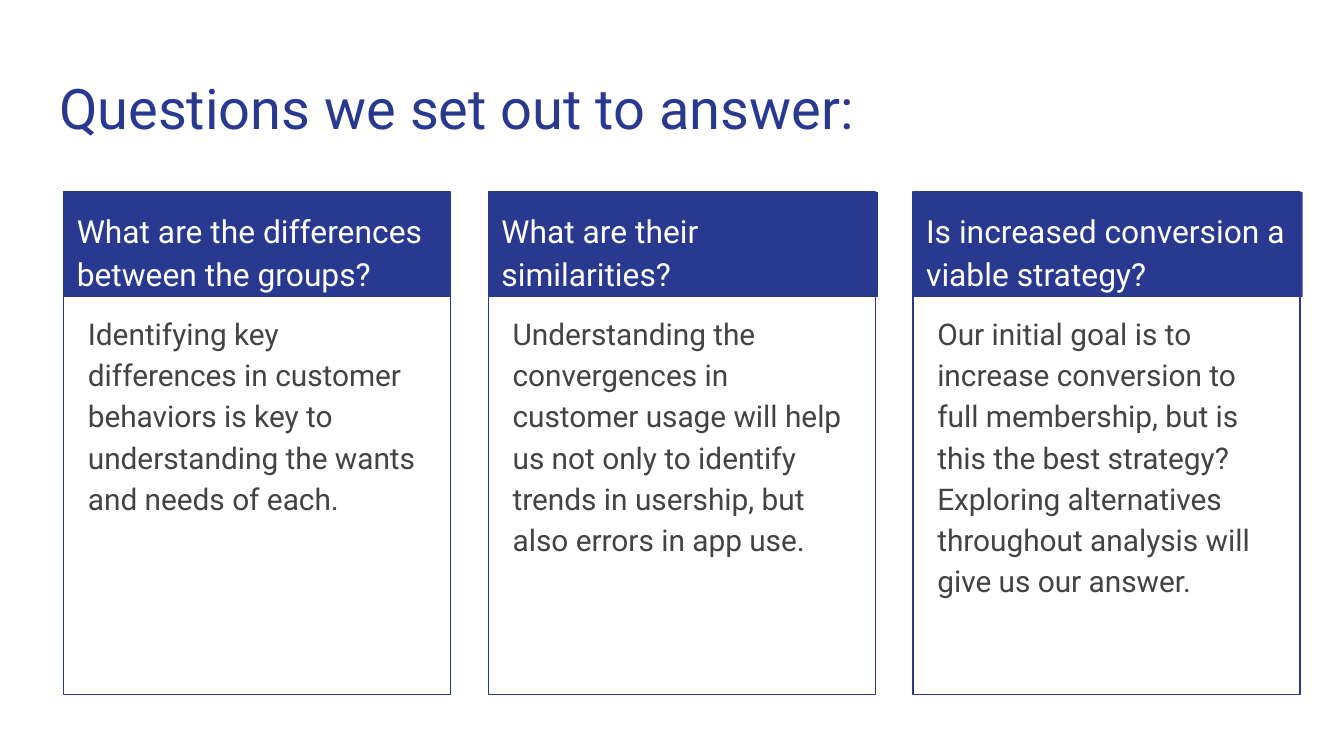
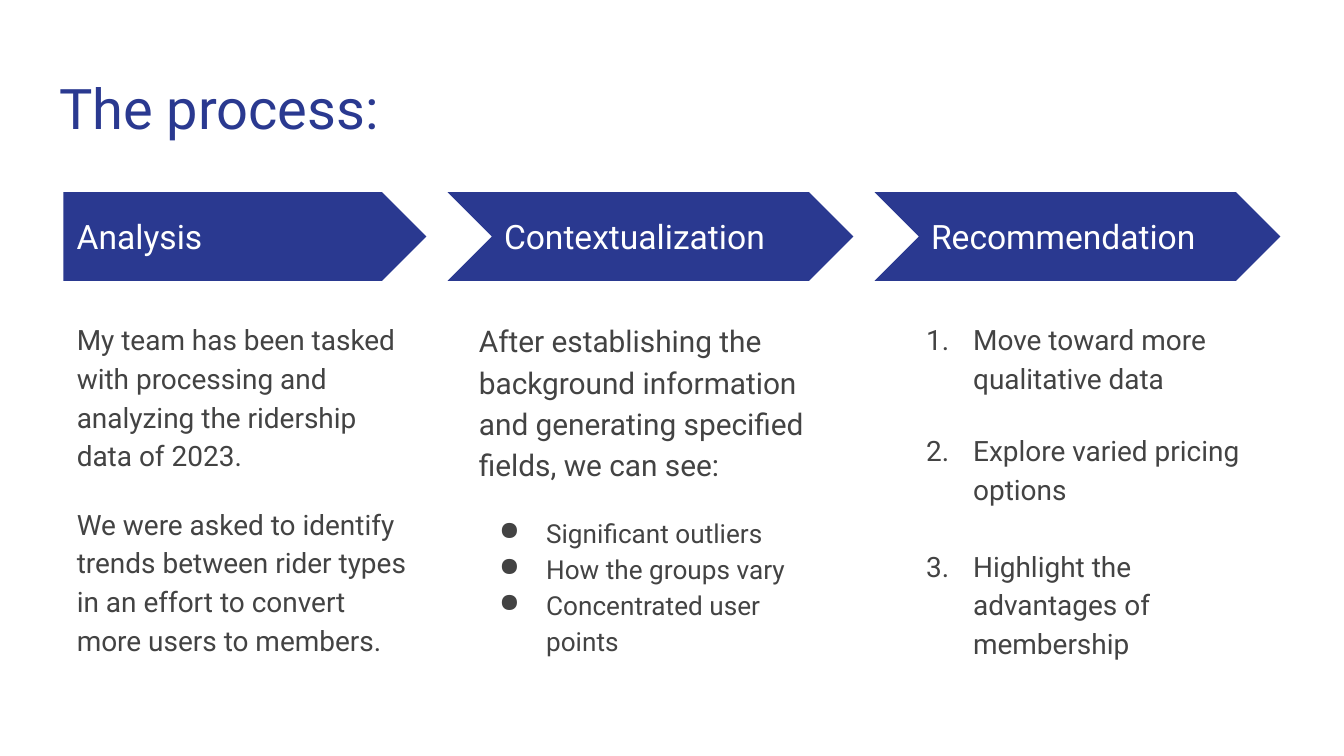
from dataclasses import dataclass

from lxml.etree import SubElement
from pptx import Presentation
from pptx.dml.color import RGBColor
from pptx.enum.shapes import MSO_SHAPE
from pptx.enum.text import MSO_ANCHOR, PP_ALIGN
from pptx.oxml.ns import qn
from pptx.util import Inches, Pt

COLORS = {"navy": "2A3990", "ink": "434343", "white": "FFFFFF"}
FONT = "Roboto"
WIDTH = Inches(10)
HEIGHT = WIDTH * 9 // 16
CELL = WIDTH // 100
LEFT, TOP = 4.73, 14.3


@dataclass
class Box:
    col: float
    row: float
    cols: float
    rows: float

    def inner(self, col, row, cols, rows):
        return Box(self.col + col, self.row + row, cols, rows)

    def place(self):
        return [round(n * CELL) for n in (self.col, self.row, self.cols, self.rows)]


def color(name):
    return RGBColor.from_string(COLORS[name])


def add_panel(page, kind, box, fill=None, line=None):
    panel = page.shapes.add_shape(kind, *box.place())
    panel.shadow.inherit = False
    if fill:
        panel.fill.solid()
        panel.fill.fore_color.rgb = color(fill)
    else:
        panel.fill.background()
    if line:
        panel.line.color.rgb = color(line)
        panel.line.width = Pt(0.75)
    else:
        panel.line.fill.background()
    return panel


def add_bullet(para, kind):
    properties = para._p.get_or_add_pPr()
    properties.set("marL", str(Inches(0.5)))
    properties.set("indent", str(-Inches(0.35)))
    tint = SubElement(properties, qn("a:buClr"))
    SubElement(tint, qn("a:srgbClr")).set("val", COLORS["ink"])
    if kind == "number":
        SubElement(properties, qn("a:buFont")).set("typeface", FONT)
        SubElement(properties, qn("a:buAutoNum")).set("type", "arabicPeriod")
    else:
        SubElement(properties, qn("a:buChar")).set("char", kind)


def add_para(frame, text, size=16, tint="ink", spacing=1.15, before=0, after=0, bullet=None):
    para = frame.paragraphs[0]
    if para.runs:
        para = frame.add_paragraph()
    para.alignment = PP_ALIGN.LEFT
    para.line_spacing = spacing
    para.space_before, para.space_after = Pt(before), Pt(after)
    if bullet:
        add_bullet(para, bullet)
    span = para.add_run()
    span.text = text
    span.font.name, span.font.size = FONT, Pt(size)
    span.font.color.rgb = color(tint)


def prepare_frame(shape, anchor=MSO_ANCHOR.TOP):
    frame = shape.text_frame
    frame.word_wrap = True
    frame.vertical_anchor = anchor
    frame.margin_left = frame.margin_right = Inches(0.1)
    frame.margin_top = frame.margin_bottom = Inches(0.1)
    return frame


def add_text(page, box, paras, anchor=MSO_ANCHOR.TOP):
    frame = prepare_frame(page.shapes.add_textbox(*box.place()), anchor)
    for text, style in paras:
        add_para(frame, text, **style)


def add_page(deck, title):
    page = deck.slides.add_slide(deck.slide_layouts[6])
    style = dict(size=30, tint="navy", spacing=1.0)
    add_text(page, Box(3.41, 4.5, 93.2, 6.6), [(title, style)])
    return page


def add_card(page, box, heading, text, header_cols):
    add_panel(page, MSO_SHAPE.RECTANGLE, box, line="navy")
    header = add_panel(page, MSO_SHAPE.RECTANGLE, box.inner(0, 0, header_cols, 7.8), fill="navy")
    add_para(prepare_frame(header), heading, size=17, tint="white")
    add_text(page, box.inner(0.83, 7.8, 27, 28.7), [(text, dict(after=16))])


def add_step(page, box, kind, heading, paras, label_inset, body_inset):
    add_panel(page, kind, box.inner(0, 0, box.cols, 6.6), fill="navy")
    label = (heading, dict(size=18, tint="white", spacing=1.0))
    add_text(page, box.inner(label_inset, 1.6, 24.7, 3.4), [label], MSO_ANCHOR.MIDDLE)
    add_text(page, box.inner(body_inset, 8.35, box.cols - body_inset - 0.2, 29), paras)


def build_questions(deck):
    page = add_page(deck, "Questions we set out to answer:")
    cards = [
        ("What are the differences between the groups?",
         "Identifying key differences in customer behaviors is key to understanding "
         "the wants and needs of each.", 28.8),
        ("What are their similarities?",
         "Understanding the convergences in customer usage will help us not only to "
         "identify trends in usership, but also errors in app use.", 29),
        ("Is increased conversion a viable strategy?",
         "Our initial goal is to increase conversion to full membership, but is this "
         "the best strategy? Exploring alternatives throughout analysis will give us "
         "our answer.", 29),
    ]
    for index, (heading, text, header_cols) in enumerate(cards):
        add_card(page, Box(LEFT + index * 31.6, TOP, 28.8, 37.4), heading, text, header_cols)


def build_process(deck):
    page = add_page(deck, "The process:")
    point = dict(size=14, bullet="●")
    number = dict(size=15, bullet="number")
    analysis = [
        ("My team has been tasked with processing and analyzing the ridership data of 2023.",
         dict(size=15)),
        ("We were asked to identify trends between rider types in an effort to convert "
         "more users to members.", dict(size=15, before=16, after=16)),
    ]
    context = [
        ("After establishing the background information and generating specified fields, "
         "we can see:", {}),
        ("Significant outliers", dict(point, before=16)),
        ("How the groups vary", point),
        ("Concentrated user points", point),
    ]
    advice = [
        ("Move toward more qualitative data", number),
        ("Explore varied pricing options", dict(number, before=18)),
        ("Highlight the advantages of membership", dict(number, before=20.5)),
    ]
    steps = [
        ("Analysis", analysis, MSO_SHAPE.PENTAGON, 27, 0, 0),
        ("Contextualization", context, MSO_SHAPE.CHEVRON, 30.2, 3.22, 1.35),
        ("Recommendation", advice, MSO_SHAPE.CHEVRON, 30.2, 3.22, 1.35),
    ]
    col = LEFT
    for heading, paras, kind, cols, label_inset, body_inset in steps:
        add_step(page, Box(col, TOP, cols, 37.3), kind, heading, paras, label_inset, body_inset)
        col += cols + 1.57


def main():
    deck = Presentation()
    deck.slide_width, deck.slide_height = WIDTH, HEIGHT
    build_questions(deck)
    build_process(deck)
    deck.save("out.pptx")


if __name__ == "__main__":
    main()
